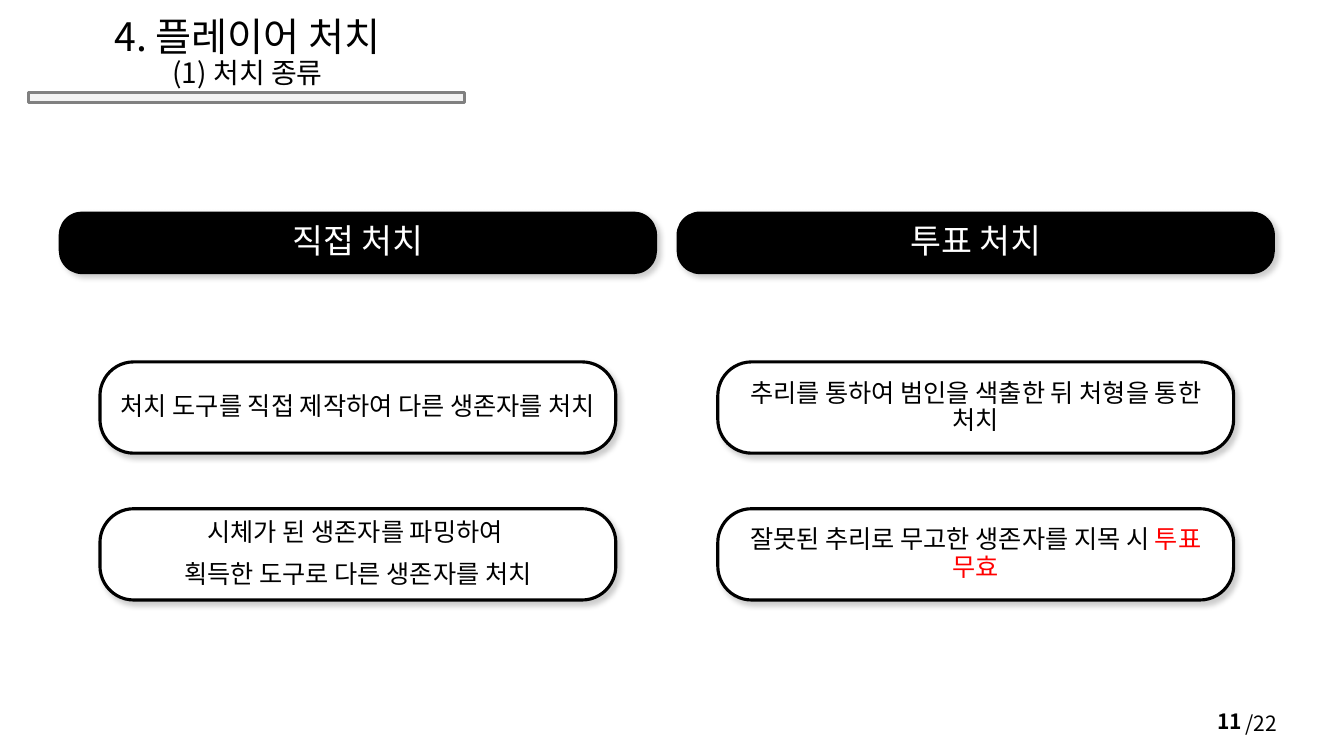
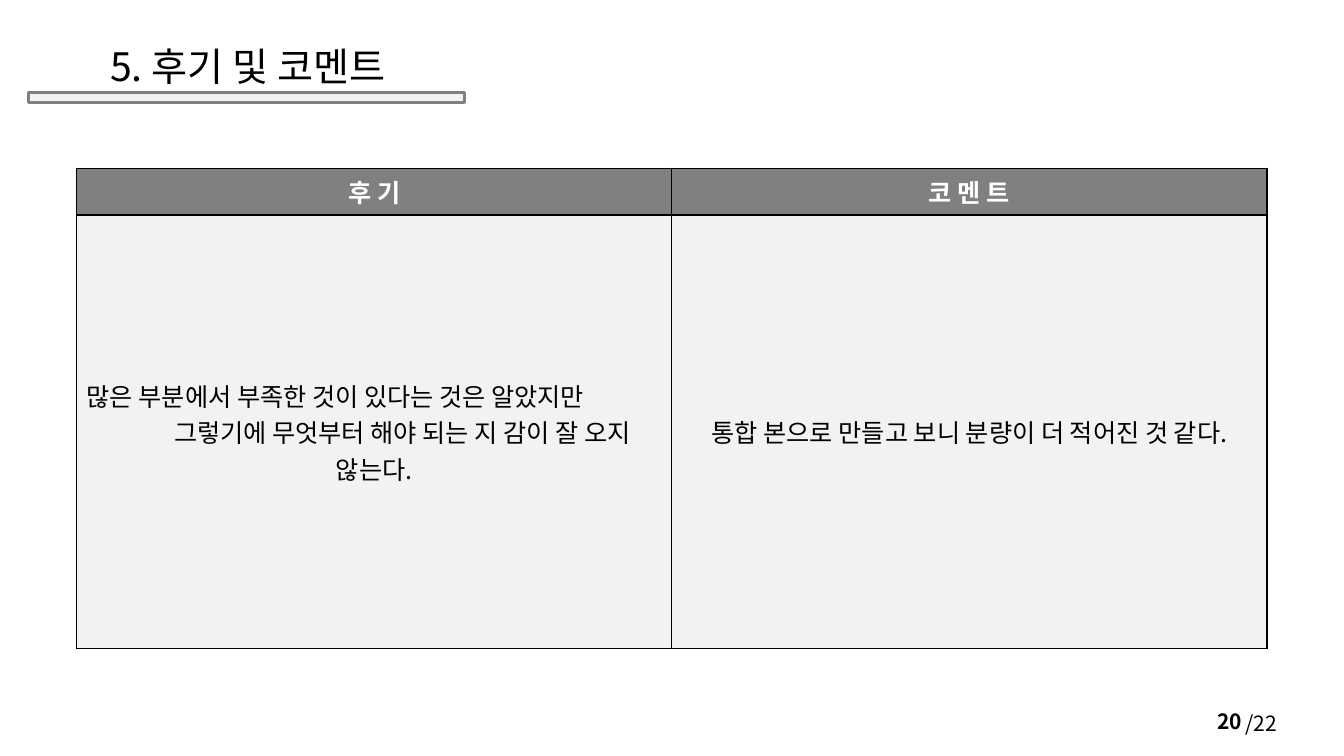
from lxml.etree import SubElement
from pptx import Presentation
from pptx.dml.color import RGBColor
from pptx.enum.shapes import MSO_SHAPE as Preset
from pptx.enum.text import MSO_ANCHOR as Anchor, MSO_AUTO_SIZE as AutoSize, PP_ALIGN as Align
from pptx.oxml import parse_xml
from pptx.oxml.ns import nsdecls, qn
from pptx.util import Cm, Pt

BLACK = RGBColor(0x00, 0x00, 0x00)
WHITE = RGBColor(0xFF, 0xFF, 0xFF)
GRAY = RGBColor(0x80, 0x80, 0x80)
LIGHT_GRAY = RGBColor(0xF2, 0xF2, 0xF2)
RED = RGBColor(0xFF, 0x00, 0x00)

FONT = "Noto Sans CJK KR"
TITLE_ONLY = 5
PAGE_TOTAL = 22


class Deck:
    """Holds the shared style, the presentation and the current slide."""

    def __init__(self):
        self.presentation = Presentation()
        self.presentation.slide_width = Cm(33.87)
        self.presentation.slide_height = Cm(19.05)
        self.slide = None

    def style(self, paragraph, size, color=BLACK, bold=False, align=Align.CENTER):
        paragraph.alignment = align
        font = paragraph.font
        font.size = Pt(size)
        font.bold = bold
        font.color.rgb = color
        font.name = FONT
        defaults = paragraph._p.pPr.find(qn("a:defRPr"))
        SubElement(defaults, qn("a:ea")).set("typeface", FONT)

    def add_slide(self, number, title, subtitle=None):
        layout = self.presentation.slide_layouts[TITLE_ONLY]
        self.slide = self.presentation.slides.add_slide(layout)
        self.add_title_bar()
        self.add_title(title, subtitle)
        self.add_label(f"/{PAGE_TOTAL}", 31.14, 17.78, 1.88, 0.9, Align.LEFT, Anchor.TOP)
        self.add_label(str(number), 23.93, 17.65, 7.62, 1.02, Align.RIGHT, Anchor.MIDDLE, bold=True)

    def add_title(self, title, subtitle):
        shape = self.slide.shapes.title
        shape.left, shape.top, shape.width, shape.height = Cm(0.97), Cm(0.74), Cm(10.54), Cm(1.65)
        frame = shape.text_frame
        frame.auto_size = AutoSize.NONE
        frame.vertical_anchor = Anchor.BOTTOM
        paragraph = frame.paragraphs[0]
        paragraph.line_spacing = 0.9
        self.style(paragraph, 28)
        paragraph.add_run().text = title
        if subtitle:
            paragraph.add_line_break()
            run = paragraph.add_run()
            run.text = subtitle
            run.font.size = Pt(20)

    def add_title_bar(self):
        self.add_shape(Preset.RECTANGLE, 0.71, 2.34, 11, 0.25, LIGHT_GRAY, GRAY)

    def add_label(self, text, left, top, width, height, align, anchor, bold=False):
        box = self.slide.shapes.add_textbox(Cm(left), Cm(top), Cm(width), Cm(height))
        frame = box.text_frame
        frame.word_wrap = True
        frame.vertical_anchor = anchor
        paragraph = frame.paragraphs[0]
        paragraph.text = text
        self.style(paragraph, 15, bold=bold, align=align)

    def add_shape(self, preset, left, top, width, height, fill, line):
        shape = self.slide.shapes.add_shape(preset, Cm(left), Cm(top), Cm(width), Cm(height))
        shape.shadow.inherit = False
        shape.fill.solid()
        shape.fill.fore_color.rgb = fill
        shape.line.color.rgb = line
        shape.line.width = Pt(2.25)
        return shape

    def add_card(self, lines, left, top, width, height, size=18, fill=WHITE, color=BLACK):
        """Rounded box with a soft shadow; each line is a list of (text, colour or None)."""
        shape = self.add_shape(Preset.ROUNDED_RECTANGLE, left, top, width, height, fill, BLACK)
        shape.adjustments[0] = 0.37
        effects = shape._element.spPr.find(qn("a:effectLst"))
        effects.append(parse_xml(
            f'<a:outerShdw {nsdecls("a")} blurRad="50800" dist="38100" dir="2700000" algn="tl" '
            'rotWithShape="0"><a:srgbClr val="000000"><a:alpha val="20000"/></a:srgbClr></a:outerShdw>'
        ))
        frame = shape.text_frame
        frame.word_wrap = True
        frame.vertical_anchor = Anchor.MIDDLE
        for index, parts in enumerate(lines):
            paragraph = frame.add_paragraph() if index else frame.paragraphs[0]
            paragraph.line_spacing = 0.9
            paragraph.space_before = Pt(10 if index else 0)
            self.style(paragraph, size, color)
            for text, accent in parts:
                run = paragraph.add_run()
                run.text = text
                if accent:
                    run.font.color.rgb = accent

    def add_table(self, left, top, column_width, row_heights, rows):
        """Each cell is a list of (text, alignment, first-line indent in cm)."""
        columns = len(rows[0])
        table = self.slide.shapes.add_table(
            len(rows), columns, Cm(left), Cm(top),
            Cm(column_width * columns), Cm(sum(row_heights))).table
        table.first_row = table.horz_banding = False
        for column in table.columns:
            column.width = Cm(column_width)
        for row_index, (height, row) in enumerate(zip(row_heights, rows)):
            table.rows[row_index].height = Cm(height)
            header = row_index == 0
            for column_index, lines in enumerate(row):
                cell = table.cell(row_index, column_index)
                cell.fill.solid()
                cell.fill.fore_color.rgb = GRAY if header else LIGHT_GRAY
                cell.vertical_anchor = Anchor.MIDDLE
                self.add_borders(cell)
                for index, (text, align, indent) in enumerate(lines):
                    frame = cell.text_frame
                    paragraph = frame.add_paragraph() if index else frame.paragraphs[0]
                    paragraph.text = text
                    self.style(paragraph, 18, WHITE if header else BLACK, header, align)
                    if indent:
                        properties = paragraph._p.pPr
                        properties.set("marL", "0")
                        properties.set("indent", str(Cm(indent)))

    def add_borders(self, cell):
        properties = cell._tc.get_or_add_tcPr()
        for index, side in enumerate(("lnL", "lnR", "lnT", "lnB")):
            properties.insert(index, parse_xml(
                f'<a:{side} {nsdecls("a")} w="{Pt(1)}"><a:solidFill>'
                f'<a:srgbClr val="{BLACK}"/></a:solidFill></a:{side}>'
            ))


def add_elimination_slide(deck):
    deck.add_slide(11, "4. 플레이어 처치", "(1) 처치 종류")
    columns = [
        ("직접 처치", [
            [[("처치 도구를 직접 제작하여 다른 생존자를 처치", None)]],
            [[("시체가 된 생존자를 파밍하여 ", None)], [("획득한 도구로 다른 생존자를 처치", None)]],
        ]),
        ("투표 처치", [
            [[("추리를 통하여 범인을 색출한 뒤 처형을 통한 처치", None)]],
            [[("잘못된 추리로 무고한 생존자를 지목 시 ", None), ("투표 무효", RED)]],
        ]),
    ]
    for column, (heading, cards) in enumerate(columns):
        left = 1.52 + column * 15.57
        deck.add_card([[(heading, None)]], left, 5.37, 15, 1.5, 24, BLACK, WHITE)
        for row, lines in enumerate(cards):
            deck.add_card(lines, left + 1, 9.12 + row * 3.7, 13, 2.3)


def add_review_slide(deck):
    deck.add_slide(20, "5. 후기 및 코멘트")
    deck.add_table(1.93, 4.24, 15, (1.18, 10.92), [
        [[("후 기", Align.CENTER, 0)], [("코 멘 트", Align.CENTER, 0)]],
        [
            [("많은 부분에서 부족한 것이 있다는 것은 알았지만", Align.LEFT, 0),
             ("그렇기에 무엇부터 해야 되는 지 감이 잘 오지 않는다.", Align.CENTER, 1.42)],
            [("통합 본으로 만들고 보니 분량이 더 적어진 것 같다.", Align.CENTER, 0)],
        ],
    ])


def main():
    deck = Deck()
    add_elimination_slide(deck)
    add_review_slide(deck)
    deck.presentation.save("out.pptx")


if __name__ == "__main__":
    main()
